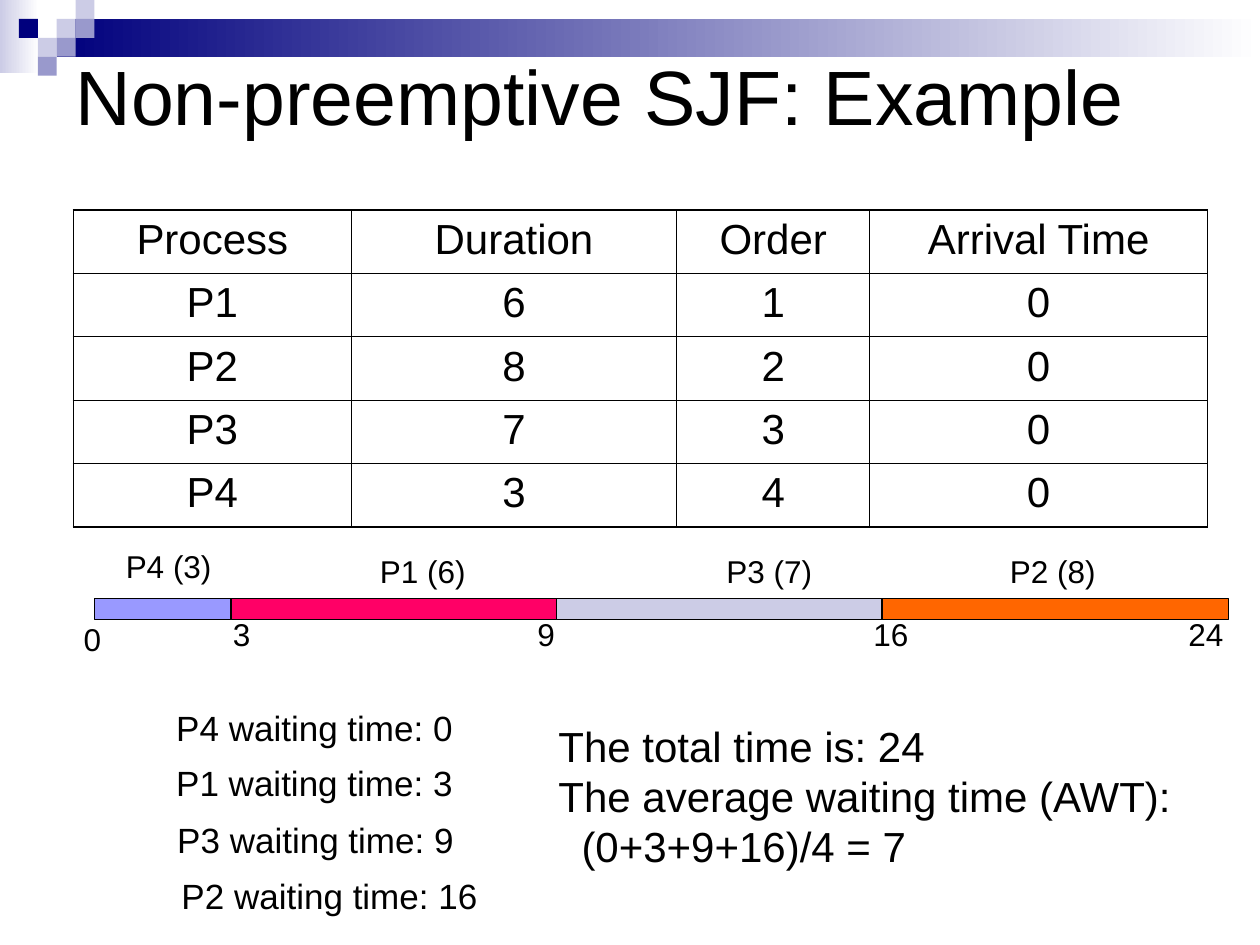
"""Build a slide on non-preemptive shortest-job-first scheduling."""
from typing import NamedTuple

from lxml import etree
from pptx import Presentation
from pptx.dml.color import RGBColor
from pptx.enum.dml import MSO_LINE
from pptx.enum.shapes import MSO_CONNECTOR, MSO_SHAPE
from pptx.enum.text import MSO_ANCHOR, MSO_AUTO_SIZE, PP_ALIGN
from pptx.oxml.ns import qn
from pptx.util import Inches, Length, Pt

RECTANGLE = MSO_SHAPE.RECTANGLE
STRAIGHT = MSO_CONNECTOR.STRAIGHT
DASH = MSO_LINE.DASH
MIDDLE = MSO_ANCHOR.MIDDLE
FIT_SHAPE, NO_FIT = MSO_AUTO_SIZE.SHAPE_TO_FIT_TEXT, MSO_AUTO_SIZE.NONE
LEFT, CENTER = PP_ALIGN.LEFT, PP_ALIGN.CENTER

CELLS_PER_INCH = 12
COLUMNS, ROWS = 120, 90
TILE = 1.8
FONT, BLACK, WHITE = "Arial", "000000", "FFFFFF"
NAVY, LAVENDER, PERIWINKLE = "00007D", "CCCCE6", "9999CC"


class Box(NamedTuple):
    """A rectangle in grid cells."""

    column: float
    row: float
    width: float
    height: float

    def place(self) -> list[Length]:
        return [grid(value) for value in self]


class Tile(NamedTuple):
    """A square of the corner mosaic, counted in tiles."""

    column: int
    row: int
    color: str


class Burst(NamedTuple):
    """The run of one process on the timeline."""

    label: str
    start: float
    width: float
    color: str
    label_column: float
    label_row: float


class Note(NamedTuple):
    """A line or block of free text."""

    lines: list[str]
    box: Box
    size: int
    wrap: bool = False


TILES = [
    Tile(3, 1, LAVENDER), Tile(4, 0, LAVENDER), Tile(4, 1, PERIWINKLE),
    Tile(2, 2, LAVENDER), Tile(1, 1, NAVY), Tile(3, 2, PERIWINKLE),
    Tile(2, 3, PERIWINKLE),
]
PROCESSES = [
    ("Process", "Duration", "Order", "Arrival Time"),
    ("P1", "6", "1", "0"),
    ("P2", "8", "2", "0"),
    ("P3", "7", "3", "0"),
    ("P4", "3", "4", "0"),
]
COLUMN_WIDTHS = [26.45, 31, 18.4, 32.15]
ROW_HEIGHT = 6.04
TABLE_BOX = Box(7, 20, 108, ROW_HEIGHT * len(PROCESSES))
BURSTS = [
    Burst("P4 (3)", 9, 14, "9999FF", 10.8, 51.5),
    Burst("P1 (6)", 22, 31, "FF0066", 35, 52),
    Burst("P3 (7)", 53, 31, LAVENDER, 68, 52),
    Burst("P2 (8)", 84, 33, "FF6600", 95, 52),
]
TIMES = [("0", 6.8, 58.45), ("3", 21, 58), ("9", 50, 58), ("16", 82, 58), ("24", 112, 58)]
NOTES = [
    Note(["P4 waiting time: 0"], Box(15.6, 66.7, 32, 5.3), 20, True),
    Note(["P1 waiting time: 3"], Box(15.6, 71.9, 37.4, 5.3), 20, True),
    Note(["P3 waiting time: 9"], Box(15.7, 77.4, 60, 5.3), 20, True),
    Note(["P2 waiting time: 16"], Box(16.1, 82.7, 34, 5.3), 20, True),
]
SUMMARY = Note(
    ["The total time is: 24", "The average waiting time (AWT):", "(0+3+9+16)/4 = 7"],
    Box(52, 68, 64, 15.6), 24, True,
)
FORMULA_INDENT = 2.2


def grid(cells: float) -> Length:
    """Turn grid cells into a length."""
    return Inches(cells / CELLS_PER_INCH)


def rgb(color: str) -> RGBColor:
    """Turn a hex string into a colour."""
    return RGBColor.from_string(color)


def write(frame, *lines: str, size: float, align=LEFT, before: float = 0,
          wrap: bool = True, fit=NO_FIT) -> None:
    """Fill a text frame, one paragraph for each line."""
    frame.word_wrap = wrap
    frame.auto_size = fit
    for index, line in enumerate(lines):
        paragraph = frame.paragraphs[0] if index == 0 else frame.add_paragraph()
        paragraph.alignment = align
        paragraph.space_before = Pt(before)
        run = paragraph.add_run()
        run.text = line
        run.font.name, run.font.size = FONT, Pt(size)
        run.font.color.rgb = rgb(BLACK)


def add_note(slide, note: Note):
    """Add a text box and return its frame."""
    frame = slide.shapes.add_textbox(*note.box.place()).text_frame
    write(frame, *note.lines, size=note.size, wrap=note.wrap, fit=FIT_SHAPE)
    return frame


def add_block(slide, box: Box, *colors: str, outlined: bool = False) -> None:
    """Add a rectangle with a plain fill, or a gradient for two colours."""
    block = slide.shapes.add_shape(RECTANGLE, *box.place())
    block.shadow.inherit = False
    if len(colors) == 2:
        block.fill.gradient()
        block.fill.gradient_angle = 0
        for stop, color in zip(block.fill.gradient_stops, colors):
            stop.color.rgb = rgb(color)
    else:
        block.fill.solid()
        block.fill.fore_color.rgb = rgb(colors[0])
    if outlined:
        block.line.color.rgb = rgb(BLACK)
        block.line.width = Pt(0.75)
    else:
        block.line.fill.background()


def add_borders(cell, **widths: float) -> None:
    """Draw black cell borders with the given widths in points."""
    properties = cell._tc.get_or_add_tcPr()
    for side, width in widths.items():
        border = etree.SubElement(properties, qn(f"a:ln{side}"), w=str(Pt(width)))
        fill = etree.SubElement(border, qn("a:solidFill"))
        etree.SubElement(fill, qn("a:srgbClr"), val=BLACK)


def add_process_table(slide) -> None:
    """Add the process table with a heavier outer frame."""
    last_row, last_column = len(PROCESSES) - 1, len(COLUMN_WIDTHS) - 1
    table = slide.shapes.add_table(last_row + 1, last_column + 1, *TABLE_BOX.place()).table
    table.first_row = table.horz_banding = False
    for column, width in zip(table.columns, COLUMN_WIDTHS):
        column.width = grid(width)
    for r, values in enumerate(PROCESSES):
        table.rows[r].height = grid(ROW_HEIGHT)
        for c, value in enumerate(values):
            cell = table.cell(r, c)
            edges = {"L": c == 0, "R": c == last_column, "T": r == 0, "B": r == last_row}
            add_borders(cell, **{side: 1.08 if outer else 0.45 for side, outer in edges.items()})
            cell.fill.background()
            write(cell.text_frame, value, size=24, align=CENTER, before=6)


def add_timeline(slide) -> None:
    """Add the axis, the bursts and their labels and times."""
    axis = slide.shapes.add_connector(STRAIGHT, grid(9), grid(58), grid(117), grid(58))
    axis.line.color.rgb = rgb(BLACK)
    axis.line.width = Pt(0.75)
    axis.line.dash_style = DASH
    etree.SubElement(axis._element.spPr, qn("a:effectLst"))
    for burst in BURSTS:
        add_block(slide, Box(burst.start, 57, burst.width, 2), burst.color, outlined=True)
        add_note(slide, Note([burst.label], Box(burst.label_column, burst.label_row, 10.6, 4.8), 18))
    for time, column, row in TIMES:
        add_note(slide, Note([time], Box(column, row, 2.4 + 1.7 * len(time), 4.8), 18))


def main() -> None:
    """Build and save the slide."""
    deck = Presentation()
    deck.slide_width, deck.slide_height = grid(COLUMNS), grid(ROWS)
    slide = deck.slides.add_slide(deck.slide_layouts[5])
    add_block(slide, Box(0, 0, 3.7, 7), LAVENDER, WHITE)
    add_block(slide, Box(3 * TILE, TILE, COLUMNS - 3 * TILE, 2 * TILE), NAVY, WHITE)
    for tile in TILES:
        add_block(slide, Box(tile.column * TILE, tile.row * TILE, TILE, TILE), tile.color)
    title = slide.shapes.title
    title.left, title.top, title.width, title.height = Box(6, 2, 108, 14).place()
    title.text_frame.vertical_anchor = MIDDLE
    write(title.text_frame, "Non-preemptive SJF: Example", size=44)
    slide.shapes._spTree.append(title._element)
    add_process_table(slide)
    add_timeline(slide)
    for note in NOTES:
        add_note(slide, note)
    formula = add_note(slide, SUMMARY).paragraphs[-1]
    formula._p.get_or_add_pPr().set("marL", str(grid(FORMULA_INDENT)))
    deck.save("out.pptx")


if __name__ == "__main__":
    main()
